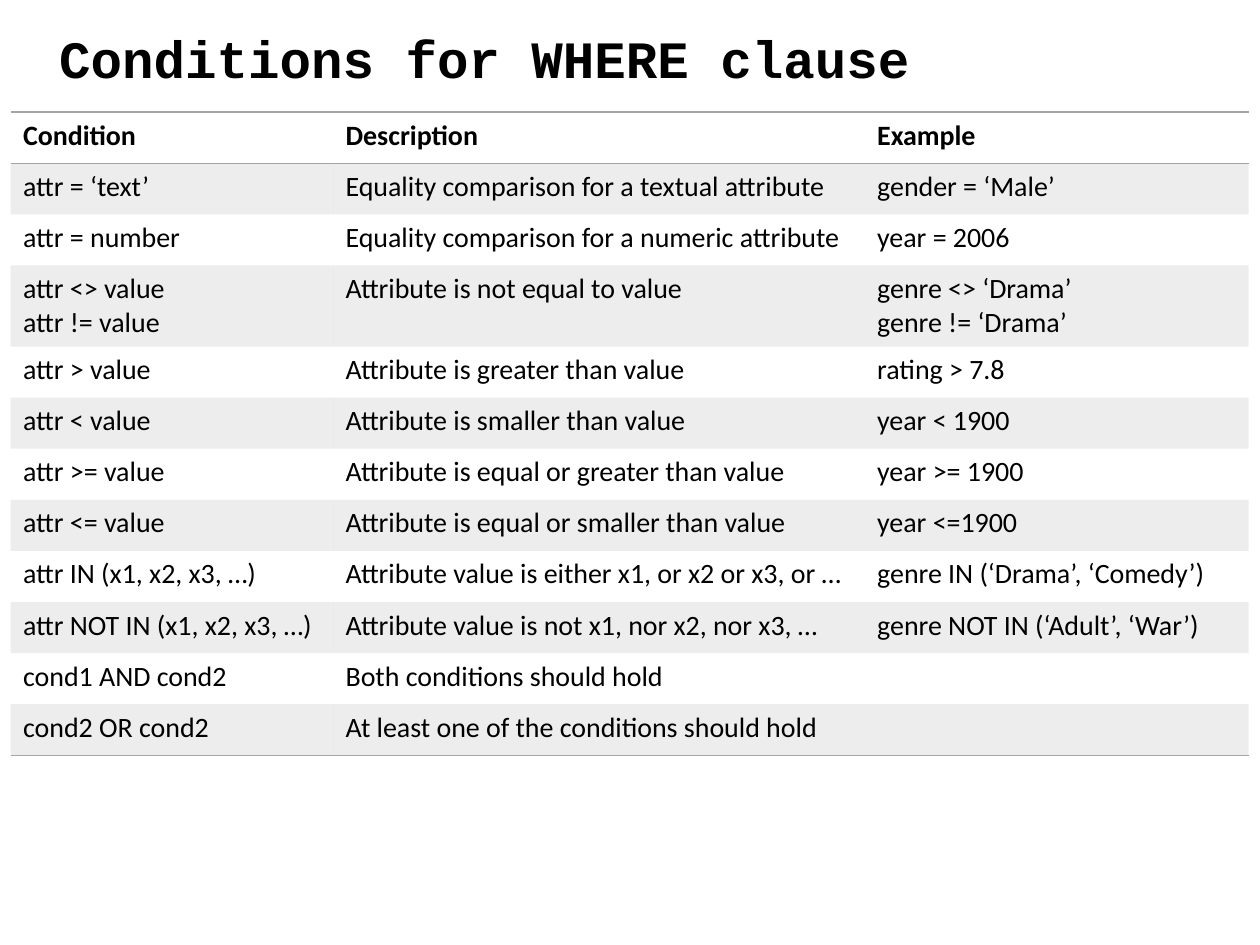
from lxml.etree import SubElement
from pptx import Presentation
from pptx.dml.color import RGBColor as RGB
from pptx.enum.text import MSO_ANCHOR, PP_ALIGN
from pptx.oxml import parse_xml
from pptx.oxml.ns import nsdecls, qn
from pptx.util import Pt

COLORS = {"text": "000000", "grey": "A5A5A5"}
NO_STYLE = "{2D5ABB26-0587-4C30-8999-92F81FD0307C}"
COLUMN_WIDTHS = [184.3, 303.8, 219.4]
ROW_HEIGHT = 29.2
ROWS = [
    ("Condition", "Description", "Example"),
    ("attr = ‘text’", "Equality comparison for a textual attribute", "gender = ‘Male’"),
    ("attr = number", "Equality comparison for a numeric attribute", "year = 2006"),
    ("attr <> value\vattr != value", "Attribute is not equal to value",
     "genre <> ‘Drama’\vgenre != ‘Drama’"),
    ("attr > value", "Attribute is greater than value", "rating > 7.8"),
    ("attr < value", "Attribute is smaller than value", "year < 1900"),
    ("attr >= value", "Attribute is equal or greater than value", "year >= 1900"),
    ("attr <= value", "Attribute is equal or smaller than value", "year <=1900"),
    ("attr IN (x1, x2, x3, …)", "Attribute value is either x1, or x2 or x3, or …",
     "genre IN (‘Drama’, ‘Comedy’)"),
    ("attr NOT IN (x1, x2, x3, …)", "Attribute value is not x1, nor x2, nor x3, …",
     "genre NOT IN (‘Adult’, ‘War’)"),
    ("cond1 AND cond2", "Both conditions should hold", ""),
    ("cond2 OR cond2", "At least one of the conditions should hold", ""),
]


def set_font(p, name, size, bold):
    """Format all the text of a paragraph."""
    p.font.name, p.font.size, p.font.bold = name, Pt(size), bold
    p.font.color.rgb = RGB.from_string(COLORS["text"])


def add_borders(cell, sides):
    """Draw grey rules on the given sides of a cell, ahead of its fill."""
    tc_pr = cell._tc.get_or_add_tcPr()
    for i, side in enumerate(sides):
        tc_pr.insert(i, parse_xml(
            f'<a:ln{side} {nsdecls("a")} w="{Pt(1)}"><a:solidFill>'
            f'<a:srgbClr val="{COLORS["grey"]}"/></a:solidFill></a:ln{side}>'))


prs = Presentation()
prs.slide_width, prs.slide_height = Pt(720), Pt(540)
s = prs.slides.add_slide(prs.slide_layouts[5])

title = s.shapes.title
title.left, title.top, title.width, title.height = Pt(30.2), Pt(11.5), Pt(610.6), Pt(43.9)
tf = title.text_frame
tf.text = "Conditions for WHERE clause"
tf.word_wrap = True
tf.vertical_anchor = MSO_ANCHOR.TOP
tf.margin_left = tf.margin_right = tf.margin_top = tf.margin_bottom = Pt(3.6)
p = tf.paragraphs[0]
p.alignment = PP_ALIGN.LEFT
set_font(p, "Courier New", 30, True)

table = s.shapes.add_table(len(ROWS), len(COLUMN_WIDTHS), Pt(6), Pt(64.1),
                           Pt(sum(COLUMN_WIDTHS)), Pt(ROW_HEIGHT * len(ROWS))).table
table.first_row = table.horz_banding = False
table._tbl.tblPr.find(qn("a:tableStyleId")).text = NO_STYLE
for column, width in zip(table.columns, COLUMN_WIDTHS):
    column.width = Pt(width)

for i, texts in enumerate(ROWS):
    table.rows[i].height = Pt(ROW_HEIGHT)
    for j, text in enumerate(texts):
        cell = table.cell(i, j)
        p = cell.text_frame.paragraphs[0]
        p.text = text
        set_font(p, "Calibri", 16, i == 0)
        if i % 2:
            cell.fill.solid()
            cell.fill.fore_color.rgb = RGB.from_string(COLORS["grey"])
            color = cell._tc.tcPr.find(f".//{qn('a:srgbClr')}")
            SubElement(color, qn("a:alpha"), val="20000")
        else:
            cell.fill.background()
        if i == 0:
            add_borders(cell, "TB")
        elif i == len(ROWS) - 1:
            add_borders(cell, "B")

prs.save("out.pptx")
